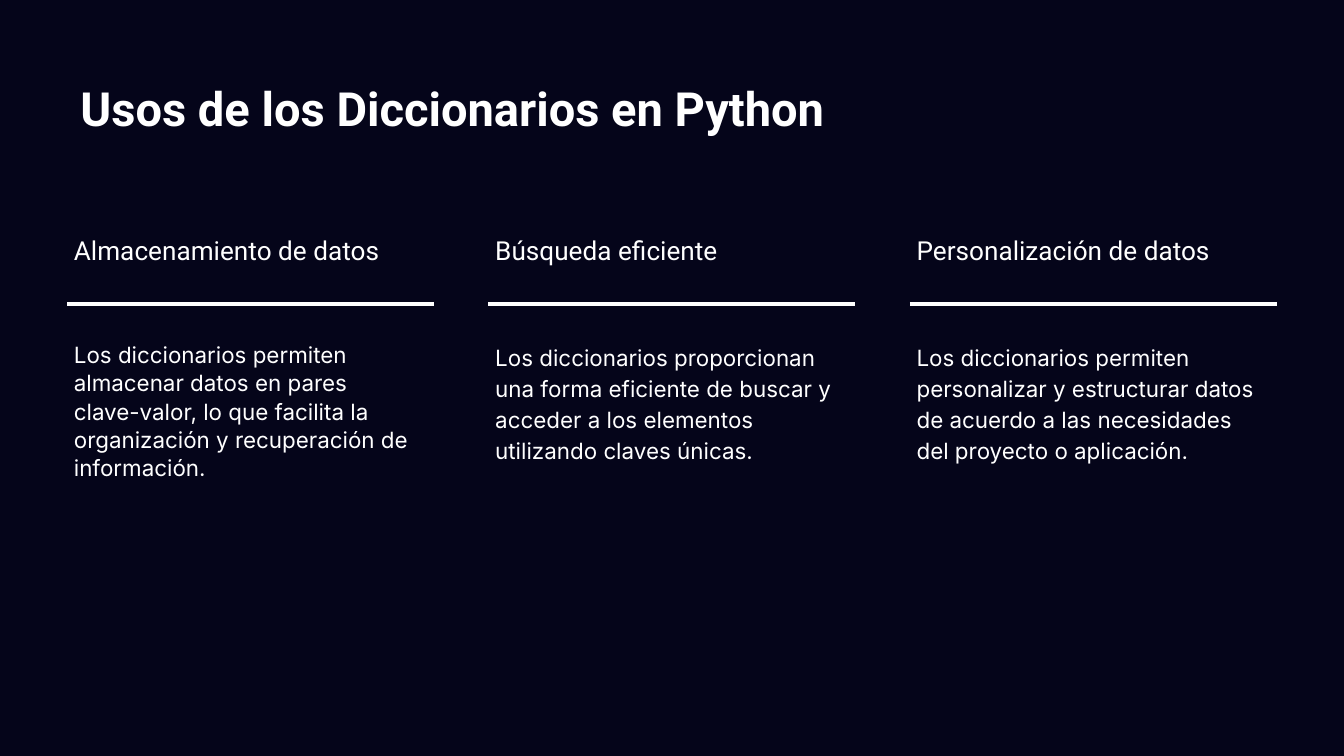
from pptx import Presentation
from pptx.dml.color import RGBColor
from pptx.enum.shapes import MSO_CONNECTOR
from pptx.enum.text import MSO_ANCHOR as ANCHOR, PP_ALIGN
from pptx.oxml.ns import qn
from pptx.util import Inches, Pt
from lxml.etree import SubElement

NAVY = RGBColor(0x05, 0x05, 0x1A)
WHITE = RGBColor(0xFF, 0xFF, 0xFF)

SLIDE_W = 10
SLIDE_H = SLIDE_W * 9 / 16
LEFT, CONTENT_W, COL_W = 0.5, 9, 2.73

# Heading, body text, body line spacing, body right inset
COLUMNS = [
    ("Almacenamiento de datos",
     "Los diccionarios permiten almacenar datos en pares clave-valor, "
     "lo que facilita la organización y recuperación de información.",
     1.05, 0.15),
    ("Búsqueda eficiente",
     "Los diccionarios proporcionan una forma eficiente de buscar y "
     "acceder a los elementos utilizando claves únicas.",
     1.15, 0.1),
    ("Personalización de datos",
     "Los diccionarios permiten personalizar y estructurar datos "
     "de acuerdo a las necesidades del proyecto o aplicación.",
     1.15, 0.1),
]
PITCH = (CONTENT_W - COL_W) / (len(COLUMNS) - 1)


def add_text(slide, text, box, insets, anchor, font, para=None):
    sp = slide.shapes.add_textbox(*map(Inches, box))
    tf = sp.text_frame
    tf.word_wrap = True
    tf.vertical_anchor = anchor
    for side, inset in zip(("left", "top", "right", "bottom"), insets):
        setattr(tf, f"margin_{side}", Inches(inset))
    p = tf.paragraphs[0]
    p.alignment = PP_ALIGN.LEFT
    for name, value in (para or {}).items():
        setattr(p, name, value)
    r = p.add_run()
    r.text = text
    r.font.color.rgb = WHITE
    for name, value in font.items():
        setattr(r.font, name, value)


def add_rule(slide, x, y, width):
    line = slide.shapes.add_connector(
        MSO_CONNECTOR.STRAIGHT, Inches(x), Inches(y), Inches(x + width), Inches(y))
    line.line.color.rgb = WHITE
    line.line.width = Pt(2.25)
    SubElement(line._element.spPr, qn("a:effectLst"))


def add_column(slide, x, heading, body, spacing, right_inset):
    add_text(slide, heading, (x, 1.34, COL_W, 0.79), (0.05, 0, 0.15, 0.15),
             ANCHOR.BOTTOM, {"name": "Roboto", "size": Pt(14)})
    add_rule(slide, x, 2.26, COL_W)
    add_text(slide, body, (x, 2.33, COL_W, 2.39), (0.05, 0.2, right_inset, 0.1),
             ANCHOR.TOP, {"name": "Inter", "size": Pt(12)},
             {"line_spacing": spacing, "space_after": Pt(10)})


def main():
    prs = Presentation()
    prs.slide_width, prs.slide_height = Inches(SLIDE_W), Inches(SLIDE_H)
    slide = prs.slides.add_slide(prs.slide_layouts[6])

    # Background
    fill = slide.background.fill
    fill.solid()
    fill.fore_color.rgb = NAVY

    # Title
    add_text(slide, "Usos de los Diccionarios en Python",
             (LEFT, 0.49, CONTENT_W, 0.63), (0.1,) * 4, ANCHOR.MIDDLE,
             {"name": "Roboto", "size": Pt(25.2), "bold": True})

    # Three columns of uses
    for i, column in enumerate(COLUMNS):
        add_column(slide, LEFT + i * PITCH, *column)

    prs.save("out.pptx")


if __name__ == "__main__":
    main()
